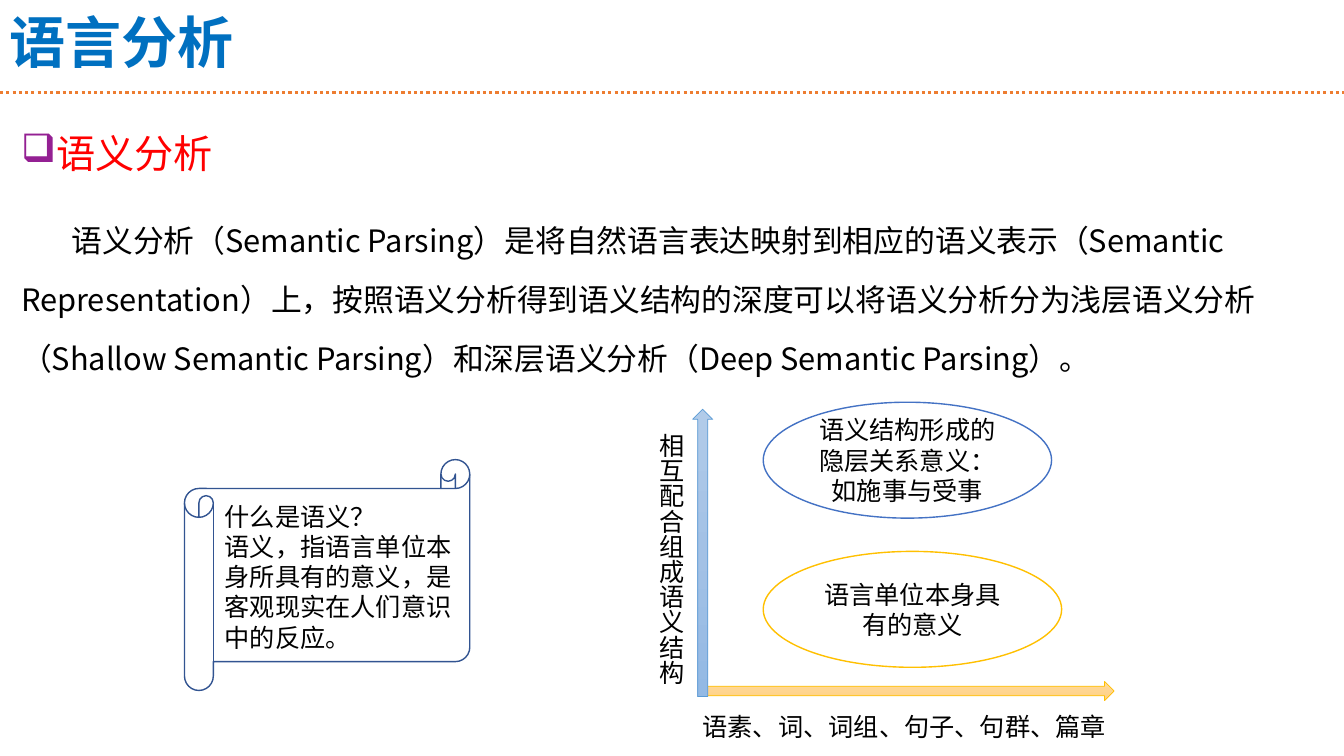
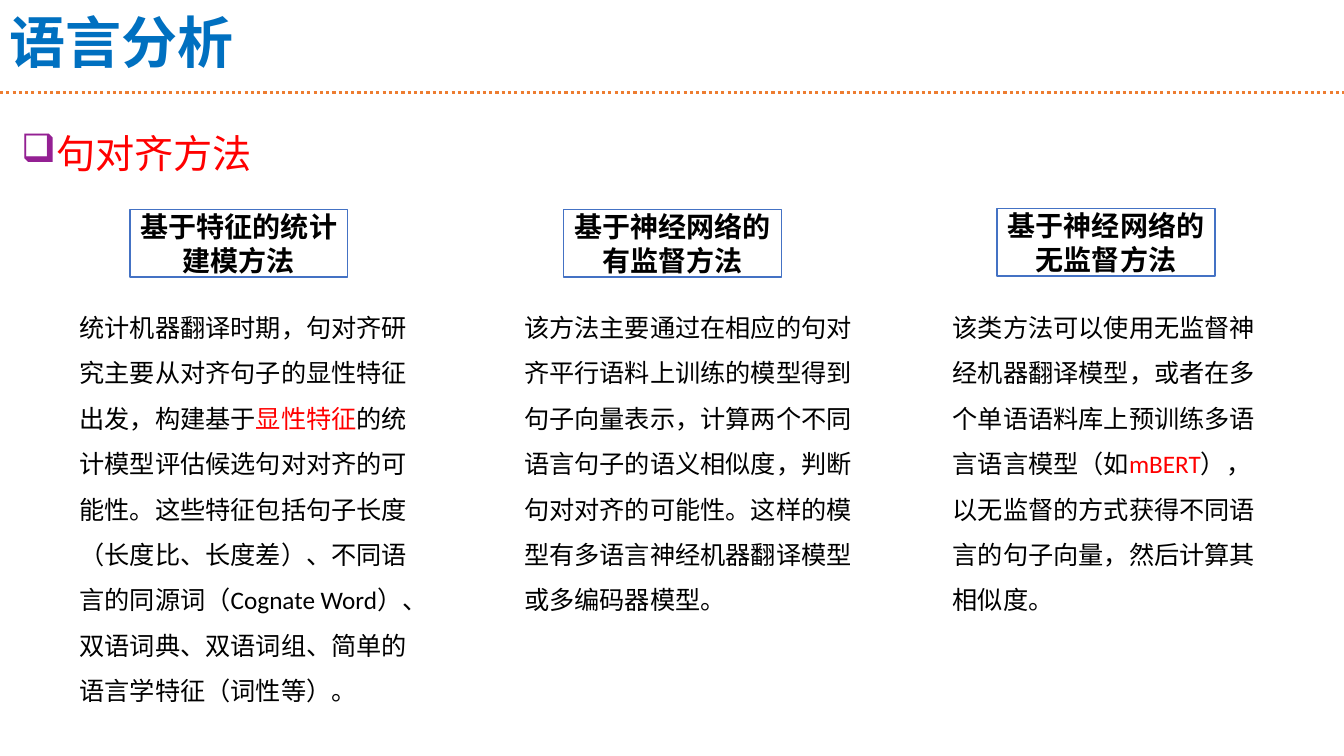
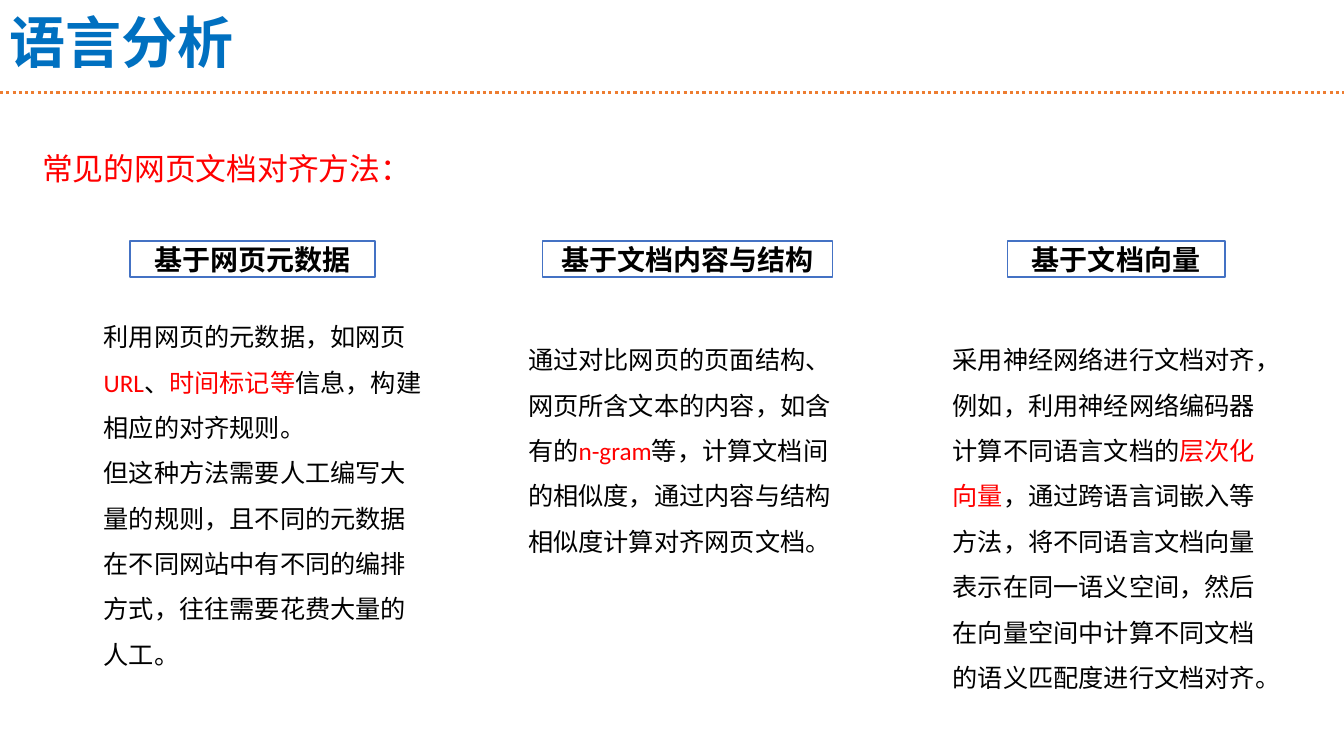
from copy import deepcopy

from lxml import etree
from pptx import Presentation
from pptx.dml.color import RGBColor
from pptx.enum.dml import MSO_LINE
from pptx.enum.lang import MSO_LANGUAGE_ID
from pptx.enum.shapes import MSO_CONNECTOR, MSO_SHAPE
from pptx.enum.text import MSO_ANCHOR, PP_ALIGN
from pptx.oxml.ns import qn
from pptx.util import Inches, Pt

BLACK = RGBColor(0x00, 0x00, 0x00)
WHITE = RGBColor(0xFF, 0xFF, 0xFF)
RED = RGBColor(0xFF, 0x00, 0x00)
TITLE_BLUE = RGBColor(0x00, 0x70, 0xC0)
BOX_BLUE = RGBColor(0x44, 0x72, 0xC4)
SCROLL_BLUE = RGBColor(0x32, 0x54, 0x91)
ARROW_BLUE = RGBColor(0x5B, 0x9B, 0xD5)
GOLD = RGBColor(0xFF, 0xC0, 0x00)
ORANGE = RGBColor(0xED, 0x7D, 0x31)
BULLET_PURPLE = RGBColor(0x94, 0x20, 0x93)
GOLD_SHADES = [RGBColor(0xFF, 0xDB, 0x9E), RGBColor(0xFF, 0xD5, 0x90),
               RGBColor(0xFF, 0xD0, 0x7C)]
BLUE_SHADES = [RGBColor(0xB1, 0xCB, 0xE9), RGBColor(0xA3, 0xC1, 0xE5),
               RGBColor(0x93, 0xB9, 0xE4)]

CJK = "Noto Sans CJK SC"
LATIN = "Calibri"
CHINESE = MSO_LANGUAGE_ID.SIMPLIFIED_CHINESE
SYS_DOT = MSO_LINE.ROUND_DOT
STRAIGHT = MSO_CONNECTOR.STRAIGHT
RECTANGLE = MSO_SHAPE.RECTANGLE
ELLIPSE = MSO_SHAPE.OVAL
SCROLL = MSO_SHAPE.HORIZONTAL_SCROLL
RIGHT_ARROW = MSO_SHAPE.RIGHT_ARROW
UP_ARROW = MSO_SHAPE.UP_ARROW
TOP = MSO_ANCHOR.TOP
MIDDLE = MSO_ANCHOR.MIDDLE
LEFT = PP_ALIGN.LEFT
CENTER = PP_ALIGN.CENTER

WIDTH, HEIGHT = 13.33, 7.5
RULE_Y = 0.92


def apply(target, values):
    for attribute, value in values.items():
        setattr(target, attribute, value)


def inches(box):
    return [Inches(length) for length in box]


class Deck:
    def __init__(self):
        self.presentation = Presentation()
        apply(self.presentation, {"slide_width": Inches(WIDTH),
                                  "slide_height": Inches(HEIGHT)})
        self.slide = None

    def new_slide(self, title):
        layout = self.presentation.slide_layouts[6]
        self.slide = self.presentation.slides.add_slide(layout)
        rule = self.slide.shapes.add_connector(
            STRAIGHT, *inches((0, RULE_Y, WIDTH, RULE_Y)))
        rule.line.color.rgb = ORANGE
        apply(rule.line, {"width": Pt(2.25), "dash_style": SYS_DOT})
        etree.SubElement(rule._element.spPr, qn("a:effectLst"))
        self.text((0, -0.01, WIDTH, RULE_Y), [title], 40, color=TITLE_BLUE,
                  bold=True, font=CJK, spacing=0.9, anchor=MIDDLE)

    def set_text(self, frame, paragraphs, size, color=BLACK, bold=False,
                 font=LATIN, spacing=1.0, align=LEFT, anchor=TOP):
        apply(frame, {"word_wrap": True, "vertical_anchor": anchor})
        for index, content in enumerate(paragraphs):
            paragraph = frame.paragraphs[0] if index == 0 else frame.add_paragraph()
            apply(paragraph, {"alignment": align, "line_spacing": spacing})
            for part, words in enumerate(content.split("*")):
                run = paragraph.add_run()
                run.text = words
                apply(run.font, {"size": Pt(size), "bold": bold, "name": font,
                                 "language_id": CHINESE})
                run.font.color.rgb = RED if part % 2 else color
                east_asian = etree.Element(qn("a:ea"), typeface=CJK)
                run._r.rPr.find(qn("a:latin")).addnext(east_asian)

    def text(self, box, paragraphs, size, **style):
        frame = self.slide.shapes.add_textbox(*inches(box)).text_frame
        self.set_text(frame, paragraphs, size, **style)
        return frame

    def vertical_text(self, box, words, size):
        frame = self.text(box, [words], size, font=CJK)
        frame._txBody.bodyPr.set("vert", "eaVert")

    def heading(self, words):
        frame = self.text((0.13, 1.14, 13.02, 0.67), [words], 28, color=RED,
                          font=CJK, spacing=1.2)
        frame.margin_left = Inches(0.08)
        properties = frame.paragraphs[0]._p.get_or_add_pPr()
        properties.set("marL", str(Inches(0.25)))
        properties.set("indent", str(Inches(-0.25)))
        bullet_color = etree.SubElement(properties, qn("a:buClr"))
        etree.SubElement(bullet_color, qn("a:srgbClr"), val=str(BULLET_PURPLE))
        etree.SubElement(properties, qn("a:buChar"), char="❑")

    def introduction(self, box, words):
        frame = self.text(box, [words], 22, font=CJK, spacing=1.6)
        frame.margin_left = Inches(0.08)
        frame.paragraphs[0]._p.get_or_add_pPr().set("indent", str(Inches(0.5)))

    def outline(self, kind, box, color, width=1.0):
        shape = self.slide.shapes.add_shape(kind, *inches(box))
        shape.shadow.inherit = False
        shape.fill.background()
        shape.line.color.rgb = color
        shape.line.width = Pt(width)
        return shape

    def label(self, kind, box, words, size, color=BOX_BLUE, bold=False):
        shape = self.outline(kind, box, color)
        shape.fill.solid()
        shape.fill.fore_color.rgb = WHITE
        self.set_text(shape.text_frame, [words], size, bold=bold,
                      align=CENTER, anchor=MIDDLE)

    def axis(self, kind, box, color, shades):
        arrow = self.outline(kind, box, color, 0.5)
        arrow.fill.gradient()
        arrow.fill.gradient_angle = 270
        first = next(arrow._element.spPr.iter(qn("a:gs")))
        first.addnext(deepcopy(first))
        for index, (stop, shade) in enumerate(zip(arrow.fill.gradient_stops, shades)):
            stop.position = index / 2
            stop.color.rgb = shade

    def method(self, header_box, header, body_box, paragraphs):
        self.label(RECTANGLE, header_box, header, 20, bold=True)
        self.text(body_box, paragraphs, 18, spacing=1.5)


def semantic_analysis(deck):
    deck.new_slide("语言分析")
    deck.heading("语义分析")
    deck.introduction(
        (0.13, 1.93, 13.02, 1.82),
        "语义分析（Semantic Parsing）是将自然语言表达映射到相应的语义表示"
        "（Semantic Representation）上，按照语义分析得到语义结构的深度可以将"
        "语义分析分为浅层语义分析（Shallow Semantic Parsing）和深层语义分析"
        "（Deep Semantic Parsing）。")
    deck.outline(SCROLL, (1.83, 4.56, 2.83, 2.29), SCROLL_BLUE)
    deck.text((2.13, 4.92, 2.52, 1.62),
              ["什么是语义？",
               "语义，指语言单位本身所具有的意义，是客观现实在人们意识中的反应。"], 18)
    deck.axis(RIGHT_ARROW, (6.97, 6.76, 4.08, 0.19), GOLD, GOLD_SHADES)
    deck.axis(UP_ARROW, (6.87, 4.06, 0.2, 2.85), ARROW_BLUE, BLUE_SHADES)
    deck.text((6.87, 7.01, 4.57, 0.4), ["语素、词、词组、句子、句群、篇章"], 18, font=CJK)
    deck.vertical_text((6.36, 4.2, 0.5, 2.77), "相互配合组成语义结构", 18)
    deck.label(ELLIPSE, (7.57, 5.47, 2.96, 1.15), "语言单位本身具有的意义", 18, GOLD)
    deck.label(ELLIPSE, (7.57, 3.99, 2.86, 1.15),
               "语义结构形成的隐层关系意义：如施事与受事", 18)


def sentence_alignment(deck):
    deck.new_slide("语言分析")
    deck.heading("句对齐方法")
    methods = [
        ("基于特征的统计建模方法", 2.08, 0.69, 3.61,
         "统计机器翻译时期，句对齐研究主要从对齐句子的显性特征出发，构建基于"
         "*显性特征*的统计模型评估候选句对对齐的可能性。这些特征包括句子长度"
         "（长度比、长度差）、不同语言的同源词（Cognate Word）、双语词典、"
         "双语词组、简单的语言学特征（词性等）。"),
        ("基于神经网络的有监督方法", 2.08, 5.1, 3.46,
         "该方法主要通过在相应的句对齐平行语料上训练的模型得到句子向量表示，"
         "计算两个不同语言句子的语义相似度，判断句对对齐的可能性。"
         "这样的模型有多语言神经机器翻译模型或多编码器模型。"),
        ("基于神经网络的无监督方法", 2.07, 9.35, 3.37,
         "该类方法可以使用无监督神经机器翻译模型，或者在多个单语语料库上"
         "预训练多语言语言模型（如*mBERT*），以无监督的方式获得不同语言的"
         "句子向量，然后计算其相似度。"),
    ]
    for column, (header, header_top, left, width, body) in enumerate(methods):
        deck.method((1.29 + 4.3 * column, header_top, 2.16, 0.67), header,
                    (left, 2.9, width, 4.14), [body])


def document_alignment(deck):
    deck.new_slide("语言分析")
    deck.text((0.32, 1.36, 12.4, 0.51), ["常见的网页文档对齐方法："], 22,
              color=RED, font=CJK, spacing=1.2)
    methods = [
        ("基于网页元数据", 1.29, 2.43, 0.93, 2.99,
         ["利用网页的元数据，如网页*URL*、*时间标记等*信息，构建相应的对齐规则。",
          "但这种方法需要人工编写大量的规则，且不同的元数据在不同网站中有"
          "不同的编排方式，往往需要花费大量的人工。"]),
        ("基于文档内容与结构", 5.38, 2.88, 5.14, 3.22,
         ["通过对比网页的页面结构、网页所含文本的内容，如含有的*n-gram*等，"
          "计算文档间的相似度，通过内容与结构相似度计算对齐网页文档。"]),
        ("基于文档向量", 9.99, 2.16, 9.35, 3.22,
         ["采用神经网络进行文档对齐，例如，利用神经网络编码器计算不同语言文档的"
          "*层次化向量*，通过跨语言词嵌入等方法，将不同语言文档向量表示在同一"
          "语义空间，然后在向量空间中计算不同文档的语义匹配度进行文档对齐。"]),
    ]
    for header, header_left, header_width, left, top, body in methods:
        deck.method((header_left, 2.39, header_width, 0.36), header,
                    (left, top, 3.37, 3.69), body)


def main():
    deck = Deck()
    semantic_analysis(deck)
    sentence_alignment(deck)
    document_alignment(deck)
    deck.presentation.save("out.pptx")


if __name__ == "__main__":
    main()
